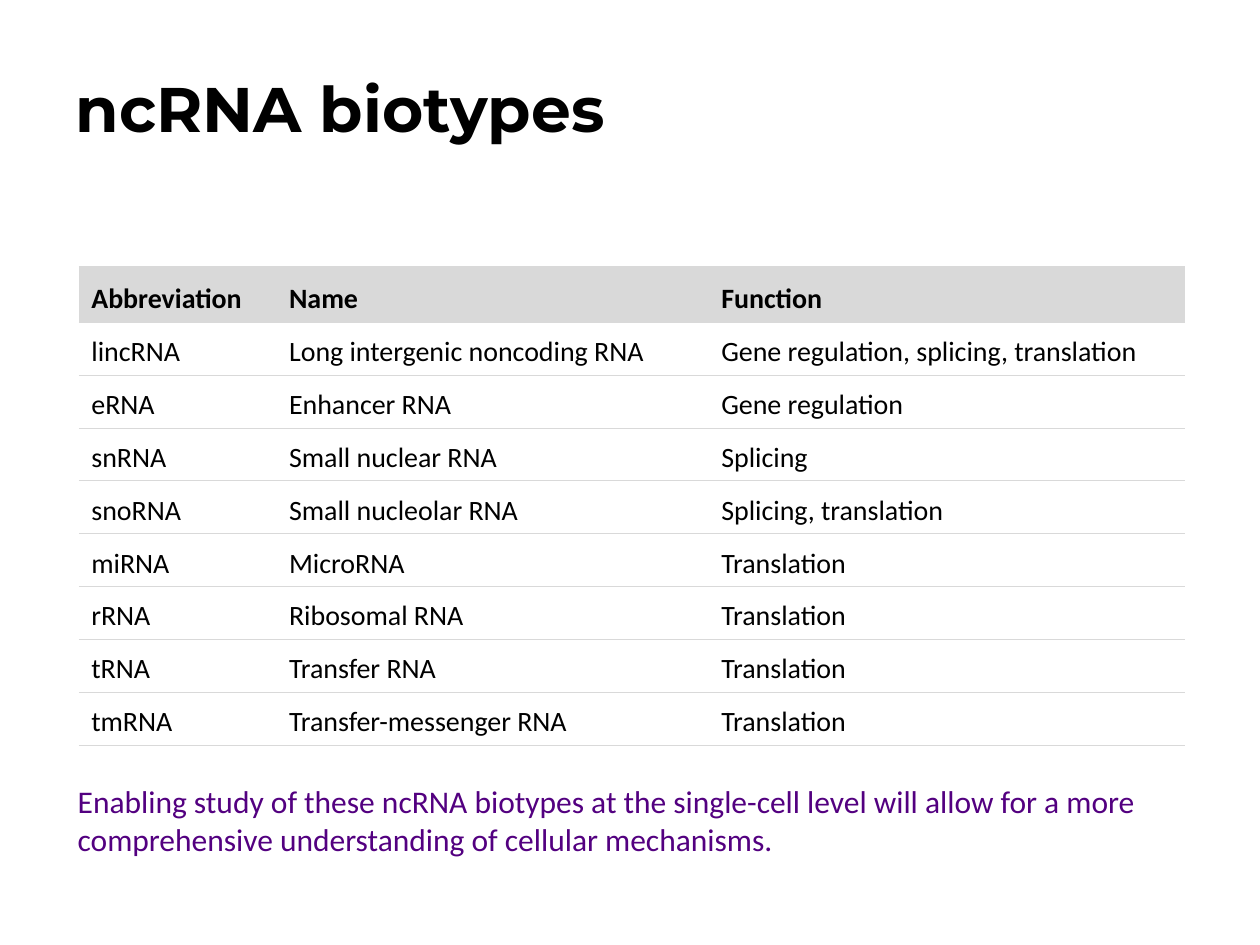
from lxml.etree import SubElement
from pptx import Presentation
from pptx.dml.color import RGBColor
from pptx.enum.text import MSO_ANCHOR, PP_ALIGN
from pptx.oxml.ns import qn
from pptx.util import Pt

COLORS = {"text": "000000", "note": "530080", "rule": "D9D9D9", "paper": "FFFFFF"}
COLUMN_WIDTHS = [113, 247, 272]
HEADER_HEIGHT = 32
ROW_HEIGHT = 30.3
BIOTYPES = [
    ("Abbreviation", "Name", "Function"),
    ("lincRNA", "Long intergenic noncoding RNA", "Gene regulation, splicing, translation"),
    ("eRNA", "Enhancer RNA", "Gene regulation"),
    ("snRNA", "Small nuclear RNA", "Splicing"),
    ("snoRNA", "Small nucleolar RNA", "Splicing, translation"),
    ("miRNA", "MicroRNA", "Translation"),
    ("rRNA", "Ribosomal RNA", "Translation"),
    ("tRNA", "Transfer RNA", "Translation"),
    ("tmRNA", "Transfer-messenger RNA", "Translation"),
]
NOTE = (
    "Enabling study of these ncRNA biotypes at the single-cell level will allow "
    "for a more comprehensive understanding of cellular mechanisms."
)


def write_text(frame, text, *, size, font="Calibri", color="text", bold=False,
               anchor=MSO_ANCHOR.TOP):
    """Write one left-aligned paragraph into a text frame."""
    frame.word_wrap = True
    frame.vertical_anchor = anchor
    paragraph = frame.paragraphs[0]
    paragraph.alignment = PP_ALIGN.LEFT
    run = paragraph.add_run()
    run.text = text
    run.font.size = Pt(size)
    run.font.name = font
    run.font.bold = bold
    run.font.color.rgb = RGBColor.from_string(COLORS[color])


def set_borders(cell):
    """Rule a cell above and below and leave its sides open."""
    properties = cell._tc.get_or_add_tcPr()
    for tag in ("a:lnL", "a:lnR"):
        line = SubElement(properties, qn(tag), w="0")
        SubElement(line, qn("a:noFill"))
    for tag in ("a:lnT", "a:lnB"):
        line = SubElement(properties, qn(tag), w=str(Pt(0.5)))
        fill = SubElement(line, qn("a:solidFill"))
        SubElement(fill, qn("a:srgbClr"), val=COLORS["rule"])


def add_title(slide, left, top, width, height):
    """Place and format the slide title."""
    title = slide.shapes.title
    title.left, title.top = Pt(left), Pt(top)
    title.width, title.height = Pt(width), Pt(height)
    write_text(title.text_frame, "ncRNA biotypes", size=36, font="Montserrat", bold=True)


def add_biotype_table(slide, left, top):
    """Add the table of ncRNA biotypes."""
    height = HEADER_HEIGHT + ROW_HEIGHT * (len(BIOTYPES) - 1)
    table = slide.shapes.add_table(
        len(BIOTYPES), len(COLUMN_WIDTHS),
        Pt(left), Pt(top), Pt(sum(COLUMN_WIDTHS)), Pt(height),
    ).table
    table.horz_banding = False
    for column, width in zip(table.columns, COLUMN_WIDTHS):
        column.width = Pt(width)
    for row_index, values in enumerate(BIOTYPES):
        is_header = row_index == 0
        row = table.rows[row_index]
        row.height = Pt(HEADER_HEIGHT if is_header else ROW_HEIGHT)
        for cell, value in zip(row.cells, values):
            set_borders(cell)
            cell.fill.solid()
            cell.fill.fore_color.rgb = RGBColor.from_string(
                COLORS["rule" if is_header else "paper"])
            write_text(cell.text_frame, value, size=16, bold=is_header)
            cell.vertical_anchor = MSO_ANCHOR.BOTTOM


def add_note(slide, left, top, width, height):
    """Add the concluding note below the table."""
    box = slide.shapes.add_textbox(Pt(left), Pt(top), Pt(width), Pt(height))
    write_text(box.text_frame, NOTE, size=18, color="note")


def main():
    """Build and save the presentation."""
    presentation = Presentation()
    presentation.slide_width, presentation.slide_height = Pt(720), Pt(540)
    slide = presentation.slides.add_slide(presentation.slide_layouts[5])
    add_title(slide, 36, 36, 648, 92)
    add_biotype_table(slide, 45, 152)
    add_note(slide, 37.3, 443.5, 632, 51)
    presentation.save("out.pptx")


if __name__ == "__main__":
    main()
